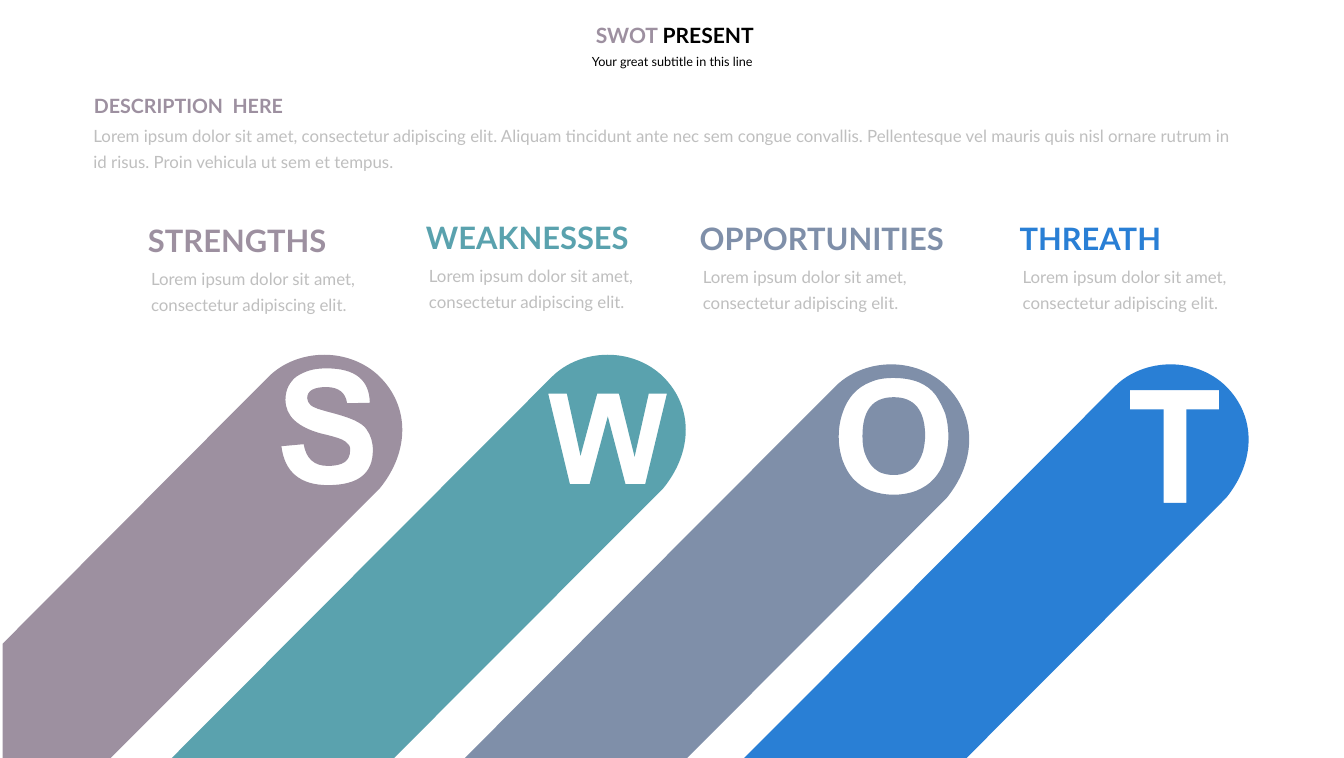
from dataclasses import dataclass

from lxml.etree import SubElement
from pptx import Presentation
from pptx.dml.color import RGBColor as RGB
from pptx.enum.text import MSO_ANCHOR as Anchor, MSO_AUTO_SIZE as AutoSize, PP_ALIGN as Align
from pptx.oxml.ns import qn
from pptx.util import Pt

PX = 9144
WIDTH, HEIGHT = 2660, 1500


@dataclass(frozen=True)
class Theme:
    font: str = "Lato"
    mauve: str = "9D90A0"
    teal: str = "5AA2AE"
    slate: str = "7F8FA9"
    blue: str = "297FD5"
    black: str = "000000"
    grey: str = "BFBFBF"
    subtitle: int = 18
    body: int = 24
    label: int = 28
    title: int = 30
    heading: int = 44


theme = Theme()


def add_text(shapes, box, runs, size, bold=False, inset=(10, 5), align=Align.LEFT,
             anchor=Anchor.TOP, spacing=None):
    frame = shapes.add_textbox(*(value * PX for value in box)).text_frame
    frame.word_wrap = True
    frame.auto_size = AutoSize.SHAPE_TO_FIT_TEXT
    frame.vertical_anchor = anchor
    frame.margin_left = frame.margin_right = inset[0] * PX
    frame.margin_top = frame.margin_bottom = inset[1] * PX
    paragraph = frame.paragraphs[0]
    paragraph.alignment = align
    paragraph.line_spacing = spacing
    paragraph.font.name = theme.font
    paragraph.font.size = Pt(size)
    paragraph.font.bold = bold
    for text, color in runs:
        run = paragraph.add_run()
        run.text = text
        run.font.color.rgb = RGB.from_string(color)


def add_outline(shapes, box, contours):
    left, top, right, bottom = box
    builder = shapes.build_freeform(left, top, scale=PX)
    builder.add_line_segments([(right, top), (right, bottom), (left, bottom)])
    shape = builder.convert_to_shape()
    outline = next(shape._element.iter(qn("a:path")))
    for command in list(outline):
        outline.remove(command)
    for contour in contours:
        for index, segment in enumerate(contour):
            tag = "a:moveTo" if index == 0 else "a:lnTo" if len(segment) == 2 else "a:cubicBezTo"
            command = SubElement(outline, qn(tag))
            for x, y in zip(segment[::2], segment[1::2]):
                SubElement(command, qn("a:pt"), x=str(x - left), y=str(y - top))
        SubElement(outline, qn("a:close"))
    return shape


letter_s = [[
    (647, 729), (634, 729, 623, 730, 613, 733), (603, 736, 595, 740, 587, 745),
    (580, 750, 575, 757, 571, 764), (567, 772, 565, 781, 565, 791),
    (565, 807, 571, 821, 583, 832), (595, 843, 613, 852, 636, 858),
    (662, 864, 678, 869, 684, 874), (687, 876, 689, 878, 691, 881),
    (693, 884, 693, 887, 693, 891), (693, 912, 679, 922, 649, 922),
    (622, 922, 606, 908, 601, 879), (557, 883), (563, 934, 594, 960, 649, 960),
    (709, 960, 738, 937, 738, 891), (738, 875, 734, 861, 725, 849),
    (721, 843, 714, 838, 702, 832), (691, 827, 676, 822, 657, 817),
    (645, 814, 636, 811, 629, 809), (622, 806, 617, 804, 615, 802),
    (611, 798, 608, 793, 608, 788), (608, 773, 621, 766, 646, 766),
    (670, 766, 684, 777, 687, 798), (732, 797), (731, 751, 702, 729, 647, 729),
]]
letter_w = [[
    (1085, 779), (1128, 958), (1167, 958), (1203, 824), (1238, 958), (1277, 958), (1320, 779),
    (1284, 779), (1256, 904), (1225, 779), (1182, 779), (1149, 902), (1122, 779),
]]
letter_o = [
    [
        (1769, 786), (1810, 786, 1831, 812, 1831, 863), (1831, 873, 1829, 884, 1827, 893),
        (1824, 903, 1820, 911, 1815, 918), (1810, 925, 1804, 930, 1796, 934),
        (1788, 938, 1779, 940, 1769, 940), (1759, 940, 1750, 938, 1742, 935),
        (1735, 931, 1728, 926, 1723, 919), (1718, 912, 1714, 904, 1711, 895),
        (1708, 885, 1707, 875, 1707, 863), (1707, 812, 1727, 786, 1769, 786),
    ],
    [
        (1768, 748), (1752, 748, 1736, 750, 1723, 756), (1710, 761, 1698, 769, 1689, 779),
        (1680, 789, 1673, 801, 1668, 816), (1663, 830, 1660, 846, 1660, 864),
        (1660, 882, 1663, 898, 1668, 912), (1673, 926, 1680, 938, 1689, 948),
        (1699, 958, 1710, 966, 1723, 971), (1737, 976, 1752, 979, 1769, 979),
        (1786, 979, 1801, 976, 1814, 971), (1828, 965, 1839, 958, 1848, 948),
        (1857, 938, 1865, 926, 1869, 911), (1874, 897, 1877, 881, 1877, 864),
        (1877, 848, 1875, 833, 1871, 819), (1866, 806, 1860, 794, 1852, 782),
        (1835, 759, 1807, 748, 1768, 748),
    ],
]
letter_t = [[
    (2236, 772), (2236, 810), (2303, 810), (2303, 995),
    (2348, 995), (2348, 810), (2413, 810), (2413, 772),
]]

presentation = Presentation()
presentation.slide_width = WIDTH * PX
presentation.slide_height = HEIGHT * PX
slide = presentation.slides.add_slide(presentation.slide_layouts[6])

LEFT_EDGE = 5
bars = [
    (1764, 721, theme.slate, letter_o),
    (2317, 721, theme.blue, letter_t),
    (1203, 702, theme.teal, letter_w),
    (642, 702, theme.mauve, letter_s),
]
for apex, top, color, letter in bars:
    right_foot = apex + 111 - (HEIGHT - top - 264)
    left_foot = apex - 109 - (HEIGHT - top - 44)
    if left_foot < LEFT_EDGE:
        feet = [(LEFT_EDGE, HEIGHT), (LEFT_EDGE, HEIGHT - LEFT_EDGE + left_foot)]
    else:
        feet = [(left_foot, HEIGHT)]
    body = [
        (apex, top),
        (apex + 40, top, apex + 81, top + 15, apex + 110, top + 44),
        (apex + 169, top + 103, apex + 169, top + 191, apex + 110, top + 264),
        (right_foot, HEIGHT),
        *feet,
        (apex - 111, top + 44),
        (apex - 82, top + 15, apex - 41, top, apex, top),
    ]
    box = (max(left_foot, LEFT_EDGE), top, apex + 154, HEIGHT)
    bar = add_outline(slide.shapes, box, [body, *letter])
    bar.shadow.inherit = False
    bar.fill.solid()
    bar.fill.fore_color.rgb = RGB.from_string(color)
    bar.line.fill.background()

header = slide.shapes.add_group_shape().shapes
add_text(header, (922, 95, 817, 55), [("Your great subtitle in this line", theme.black)],
         theme.subtitle, inset=(24, 12), align=Align.CENTER)
add_text(header, (830, 34, 1011, 71), [("SWOT ", theme.mauve), ("PRESENT", theme.black)],
         theme.title, bold=True, inset=(20, 10), align=Align.CENTER)

body_style = dict(size=theme.body, inset=(27, 13), anchor=Anchor.MIDDLE, spacing=1.3)
lorem = "Lorem ipsum dolor sit amet, consectetur adipiscing elit."
description = slide.shapes.add_group_shape().shapes
add_text(description, (158, 223, 2314, 132),
         [(lorem + " Aliquam tincidunt ante nec sem congue convallis. Pellentesque vel mauris quis "
           "nisl ornare rutrum in id risus. Proin vehicula ut sem et tempus.", theme.grey)],
         **body_style)
add_text(description, (166, 175, 461, 67), [("DESCRIPTION  HERE", theme.mauve)],
         theme.label, bold=True, inset=(20, 10))

columns = [
    ("STRENGTHS", 283, 433, 461, theme.mauve),
    ("WEAKNESSES", 833, 428, 461, theme.teal),
    ("OPPORTUNITIES", 1375, 429, 562, theme.slate),
    ("THREATH", 2008, 430, 461, theme.blue),
]
for heading, left, top, width, color in columns:
    column = slide.shapes.add_group_shape().shapes
    add_text(column, (left - 11, top + 72, 523, 132), [(lorem, theme.grey)], **body_style)
    add_text(column, (left, top, width, 84), [(heading, color)], theme.heading, bold=True)

presentation.save("out.pptx")
